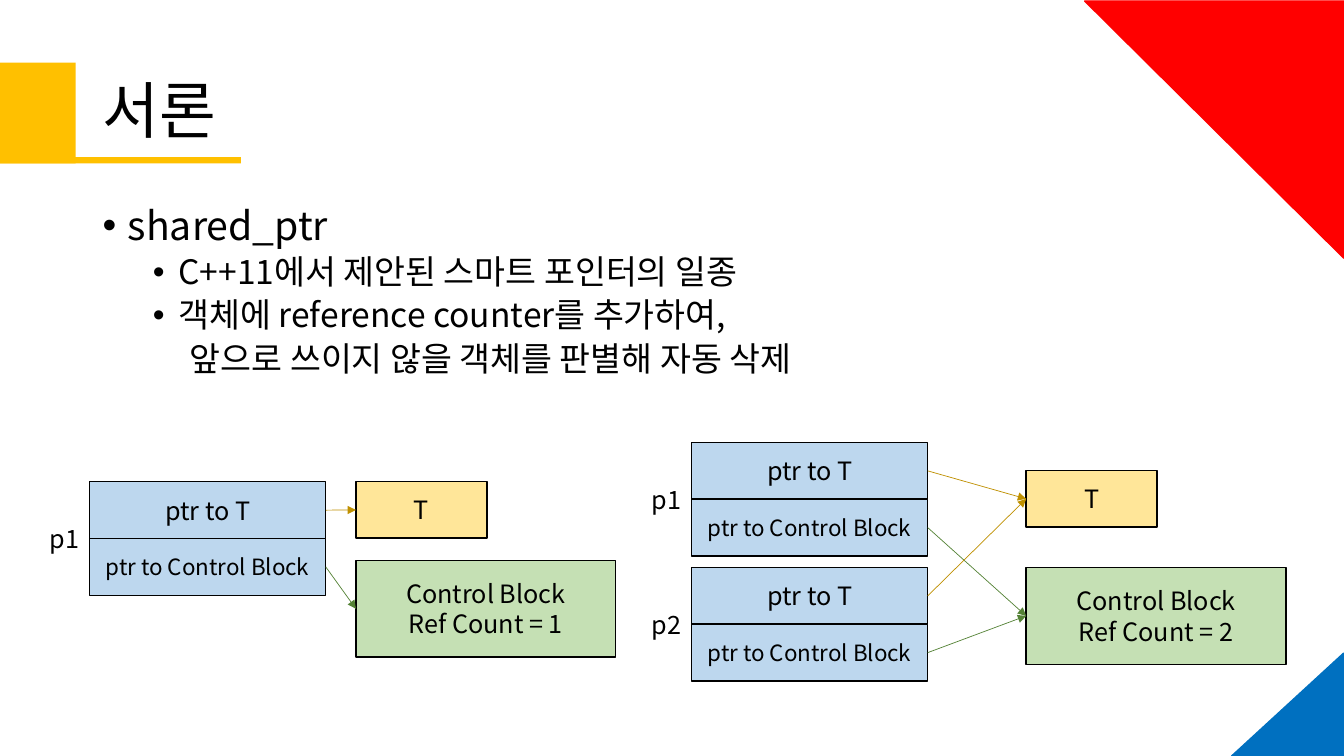
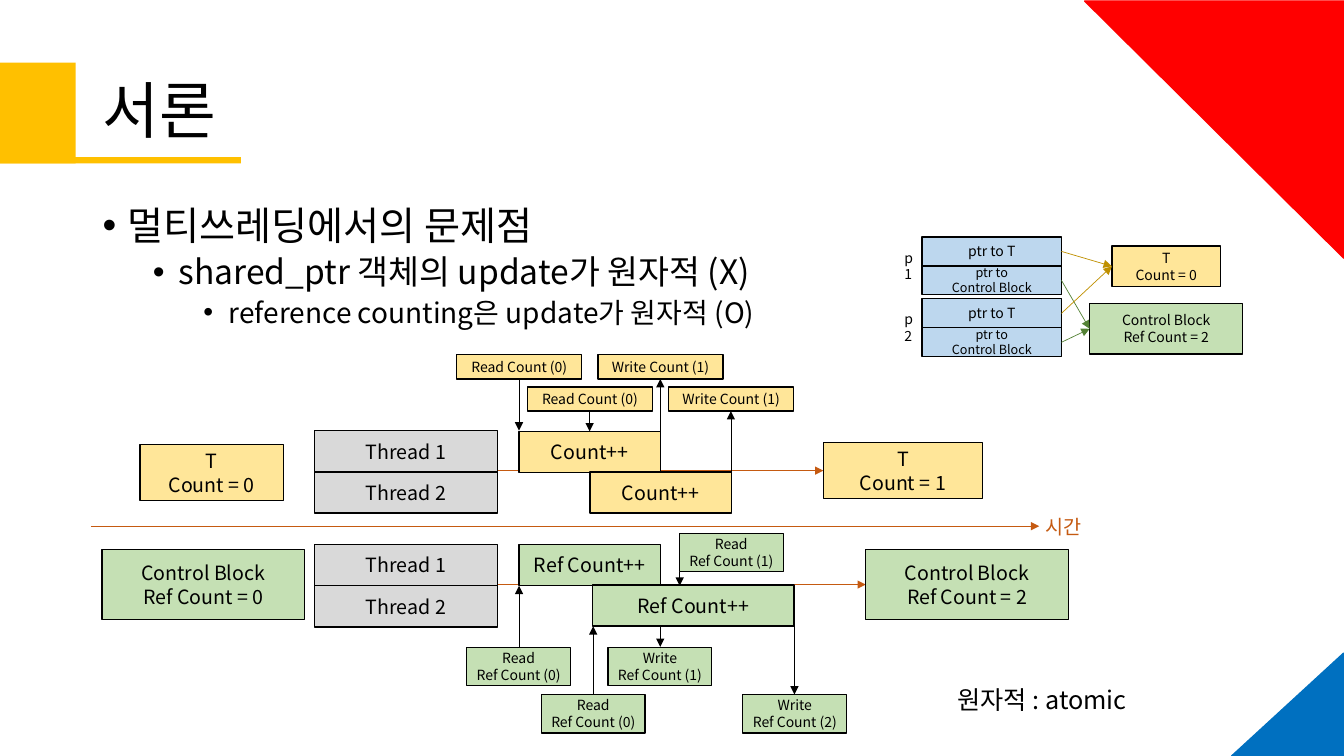
from dataclasses import dataclass

import lxml.etree
import pptx
import pptx.dml.color
import pptx.enum.shapes
import pptx.enum.text
import pptx.oxml.ns
import pptx.util

Cm = pptx.util.Cm
Pt = pptx.util.Pt
qn = pptx.oxml.ns.qn
Kind = pptx.enum.shapes.MSO_SHAPE
Align = pptx.enum.text.PP_ALIGN
Anchor = pptx.enum.text.MSO_ANCHOR

FONT = "Noto Sans CJK KR"
HUES = {
    "black": "000000",
    "blue": "BDD7EE",
    "sand": "FFE699",
    "green": "C5E0B4",
    "gray": "D9D9D9",
    "ochre": "BF9000",
    "leaf": "548235",
    "rust": "C55A11",
    "amber": "FFC000",
    "navy": "0070C0",
    "red": "FF0000",
}
SIZES = (28, 24, 20)


@dataclass
class Box:
    x: float
    y: float
    w: float
    h: float
    hue: str
    text: str
    size: int = 18


@dataclass
class Link:
    x1: float
    y1: float
    x2: float
    y2: float
    hue: str = "black"


@dataclass
class Item:
    text: str
    level: int
    bullet: bool = True


@dataclass
class Graph:
    """Pointer pairs at the given tops, linked to one item and one block."""
    x: float
    tops: tuple[float, ...]
    w: float
    h: float
    size: int
    lower: str
    small: int
    item: Box
    block: Box


def color(hue: str) -> pptx.dml.color.RGBColor:
    return pptx.dml.color.RGBColor.from_string(HUES[hue])


def write(para, text: str, size: int, hue: str = "black") -> None:
    run = para.add_run()
    run.text = text
    run.font.size = Pt(size)
    run.font.color.rgb = color(hue)
    run.font.name = FONT
    east = lxml.etree.SubElement(run.font._element, qn("a:ea"))
    east.set("typeface", FONT)


def shape(slide, kind, x: float, y: float, w: float, h: float,
          fill: str, edge: str | None):
    new = slide.shapes.add_shape(kind, Cm(x), Cm(y), Cm(w), Cm(h))
    new.shadow.inherit = False
    new.fill.solid()
    new.fill.fore_color.rgb = color(fill)
    if edge:
        new.line.color.rgb = color(edge)
        new.line.width = Pt(1)
    else:
        new.line.fill.background()
    return new


def draw_box(slide, box: Box) -> None:
    new = shape(slide, Kind.RECTANGLE, box.x, box.y, box.w, box.h,
                box.hue, "black")
    frame = new.text_frame
    frame.margin_left = frame.margin_right = 0
    frame.margin_top = frame.margin_bottom = 0
    frame.vertical_anchor = Anchor.MIDDLE
    frame.word_wrap = True
    for i, line in enumerate(box.text.split("\n")):
        para = frame.add_paragraph() if i else frame.paragraphs[0]
        para.alignment = Align.CENTER
        write(para, line, box.size)


def draw_link(slide, link: Link) -> None:
    new = slide.shapes.add_connector(
        pptx.enum.shapes.MSO_CONNECTOR.STRAIGHT,
        Cm(link.x1), Cm(link.y1), Cm(link.x2), Cm(link.y2))
    new.line.color.rgb = color(link.hue)
    new.line.width = Pt(0.5)
    props = new._element.spPr
    tail = lxml.etree.SubElement(props.find(qn("a:ln")), qn("a:tailEnd"))
    tail.set("type", "triangle")
    lxml.etree.SubElement(props, qn("a:effectLst"))


def label(slide, x: float, mid: float, w: float, text: str,
          size: int, hue: str = "black") -> None:
    """Write one line of free text centred on the height mid."""
    tall = 1.02
    new = slide.shapes.add_textbox(Cm(x), Cm(mid - tall / 2), Cm(w), Cm(tall))
    frame = new.text_frame
    frame.word_wrap = False
    frame.vertical_anchor = Anchor.MIDDLE
    write(frame.paragraphs[0], text, size, hue)


def draw_graph(slide, graph: Graph) -> None:
    draw_box(slide, graph.item)
    draw_box(slide, graph.block)
    edge = graph.x + graph.w
    gap = 0.07 * graph.size
    rows = (("ptr to T", graph.size, graph.item, "ochre"),
            (graph.lower, graph.small, graph.block, "leaf"))
    for n, top in enumerate(graph.tops, 1):
        for i, (text, size, goal, hue) in enumerate(rows):
            y = top + i * graph.h
            draw_box(slide, Box(graph.x, y, graph.w, graph.h,
                                "blue", text, size))
            draw_link(slide, Link(edge, y + graph.h / 2,
                                  goal.x, goal.y + goal.h / 2, hue))
        label(slide, graph.x - gap, top + graph.h, gap, f"p{n}", graph.size)


def place(holder, x: float, y: float, w: float, h: float):
    holder.left, holder.top = Cm(x), Cm(y)
    holder.width, holder.height = Cm(w), Cm(h)
    frame = holder.text_frame
    frame.auto_size = pptx.enum.text.MSO_AUTO_SIZE.NONE
    frame.word_wrap = True
    return frame


def add_item(para, item: Item, first: bool) -> None:
    props = para._p.get_or_add_pPr()
    left = 0.64 + 1.27 * item.level if item.bullet else 2.2
    props.set("marL", str(int(Cm(left))))
    props.set("indent", str(int(Cm(-0.64 if item.bullet else 0))))
    if item.bullet:
        mark = lxml.etree.SubElement(props, qn("a:buChar"))
        mark.set("char", "•")
    else:
        lxml.etree.SubElement(props, qn("a:buNone"))
    para.level = item.level
    para.alignment = Align.LEFT
    para.line_spacing = 0.9
    para.space_before = Pt(0 if first else 5)
    write(para, item.text, SIZES[item.level])


def start(deck, title: str, items: list[Item]):
    """Add a slide with its title and its list."""
    slide = deck.slides.add_slide(deck.slide_layouts[1])
    frame = place(slide.shapes.title, 2.33, 1.02, 29.21, 3.68)
    frame.vertical_anchor = Anchor.MIDDLE
    head = frame.paragraphs[0]
    head.alignment = Align.LEFT
    head.line_spacing = 0.9
    write(head, title, 44)
    frame = place(slide.placeholders[1], 2.33, 5.07, 29.21, 12.09)
    frame.vertical_anchor = Anchor.TOP
    for i, item in enumerate(items):
        para = frame.add_paragraph() if i else frame.paragraphs[0]
        add_item(para, item, i == 0)
    return slide


def adorn(slide) -> None:
    """Draw the title band and the two corners."""
    shape(slide, Kind.RECTANGLE, 0, 1.58, 1.91, 2.54, "amber", None)
    shape(slide, Kind.RECTANGLE, 0, 3.96, 6.07, 0.16, "amber", None)
    low = shape(slide, Kind.ISOSCELES_TRIANGLE, 31.04, 16.46, 2.82, 2.59,
                "navy", "navy")
    high = shape(slide, Kind.ISOSCELES_TRIANGLE, 27.36, 0, 6.48, 6.53,
                 "red", "red")
    high.rotation = 270
    for corner in (low, high):
        corner.adjustments[0] = 1


def intro(deck) -> None:
    slide = start(deck, "서론", [
        Item("shared_ptr", 0),
        Item("C++11에서 제안된 스마트 포인터의 일종", 1),
        Item("객체에 reference counter를 추가하여,", 1),
        Item("앞으로 쓰이지 않을 객체를 판별해 자동 삭제", 1, False),
    ])
    lower = "ptr to Control Block"
    cases = ((2.26, (12.14,), 8.97, 12.14, 14.12),
             (17.43, (11.15, 14.3), 25.86, 11.86, 14.3))
    for x, tops, goal, high, low in cases:
        count = f"Control Block\nRef Count = {len(tops)}"
        draw_graph(slide, Graph(
            x, tops, 5.95, 1.43, 18, lower, 16,
            Box(goal, high, 3.3, 1.42, "sand", "T"),
            Box(goal, low, 6.55, 2.44, "green", count)))
    adorn(slide)


def draw_time(slide) -> None:
    """Draw the counts of two threads above and below the time axis."""
    for link in (Link(2.29, 13.26, 26.19, 13.26, "rust"),
                 Link(12.54, 11.86, 20.75, 11.86, "rust"),
                 Link(12.54, 14.73, 21.82, 14.73, "rust")):
        draw_link(slide, link)
    label(slide, 26.09, 13.26, 1.63, "시간", 14, "rust")

    for top in (10.85, 13.72):
        for i in range(2):
            draw_box(slide, Box(7.92, top + i * 1.04, 4.62, 1.04,
                                "gray", f"Thread {i + 1}", 14))
    for x, y, w, n in ((3.53, 11.2, 3.61, 0), (20.75, 11.15, 4.01, 1)):
        draw_box(slide, Box(x, y, w, 1.42, "sand", f"T\nCount = {n}", 14))
    for x, n in ((2.57, 0), (21.82, 2)):
        draw_box(slide, Box(x, 13.84, 5.11, 1.78, "green",
                            f"Control Block\nRef Count = {n}", 14))
    for x, y, w, hue, text in (
            (13.08, 10.87, 3.56, "sand", "Count++"),
            (14.87, 11.89, 3.56, "sand", "Count++"),
            (13.08, 13.72, 3.56, "green", "Ref Count++"),
            (14.94, 14.74, 5.07, "green", "Ref Count++")):
        draw_box(slide, Box(x, y, w, 1.04, hue, text, 14))

    acts = ("Read Count (0)", "Read Count (0)",
            "Write Count (1)", "Write Count (1)")
    for i, text in enumerate(acts):
        draw_box(slide, Box(11.51 + 1.78 * i, 8.94 + 0.81 * (i % 2),
                            3.15, 0.61, "sand", text, 10))
    for x, y, act, n in ((11.76, 16.31, "Read", 0), (13.64, 17.5, "Read", 0),
                         (15.32, 16.31, "Write", 1), (17.12, 13.44, "Read", 1),
                         (18.72, 17.5, "Write", 2)):
        draw_box(slide, Box(x, y, 2.62, 0.97, "green",
                            f"{act}\nRef Count ({n})", 10))
    for x, y1, y2 in ((13.08, 9.55, 10.85), (14.86, 10.36, 10.87),
                      (16.64, 11.38, 9.55), (18.42, 12.4, 10.36),
                      (13.08, 16.31, 14.76), (14.95, 17.5, 15.78),
                      (16.64, 15.78, 16.3), (17.13, 14.41, 14.76),
                      (20.02, 15.27, 17.5)):
        draw_link(slide, Link(x, y1, x, y2))


def issue(deck) -> None:
    slide = start(deck, "서론", [
        Item("멀티쓰레딩에서의 문제점", 0),
        Item("shared_ptr 객체의 update가 원자적 (X)", 1),
        Item("reference counting은 update가 원자적 (O)", 2),
    ])
    draw_graph(slide, Graph(
        23.24, (5.97, 7.53), 3.51, 0.73, 10, "ptr to\nControl Block", 9,
        Box(28.02, 6.2, 2.74, 1.02, "sand", "T\nCount = 0", 10),
        Box(27.46, 7.65, 3.86, 1.27, "green",
            "Control Block\nRef Count = 2", 10)))
    draw_time(slide)
    label(slide, 23.88, 17.63, 5, "원자적 : atomic", 18)
    adorn(slide)


def main() -> None:
    deck = pptx.Presentation()
    deck.slide_width, deck.slide_height = Cm(33.87), Cm(19.05)
    intro(deck)
    issue(deck)
    deck.save("out.pptx")


if __name__ == "__main__":
    main()
